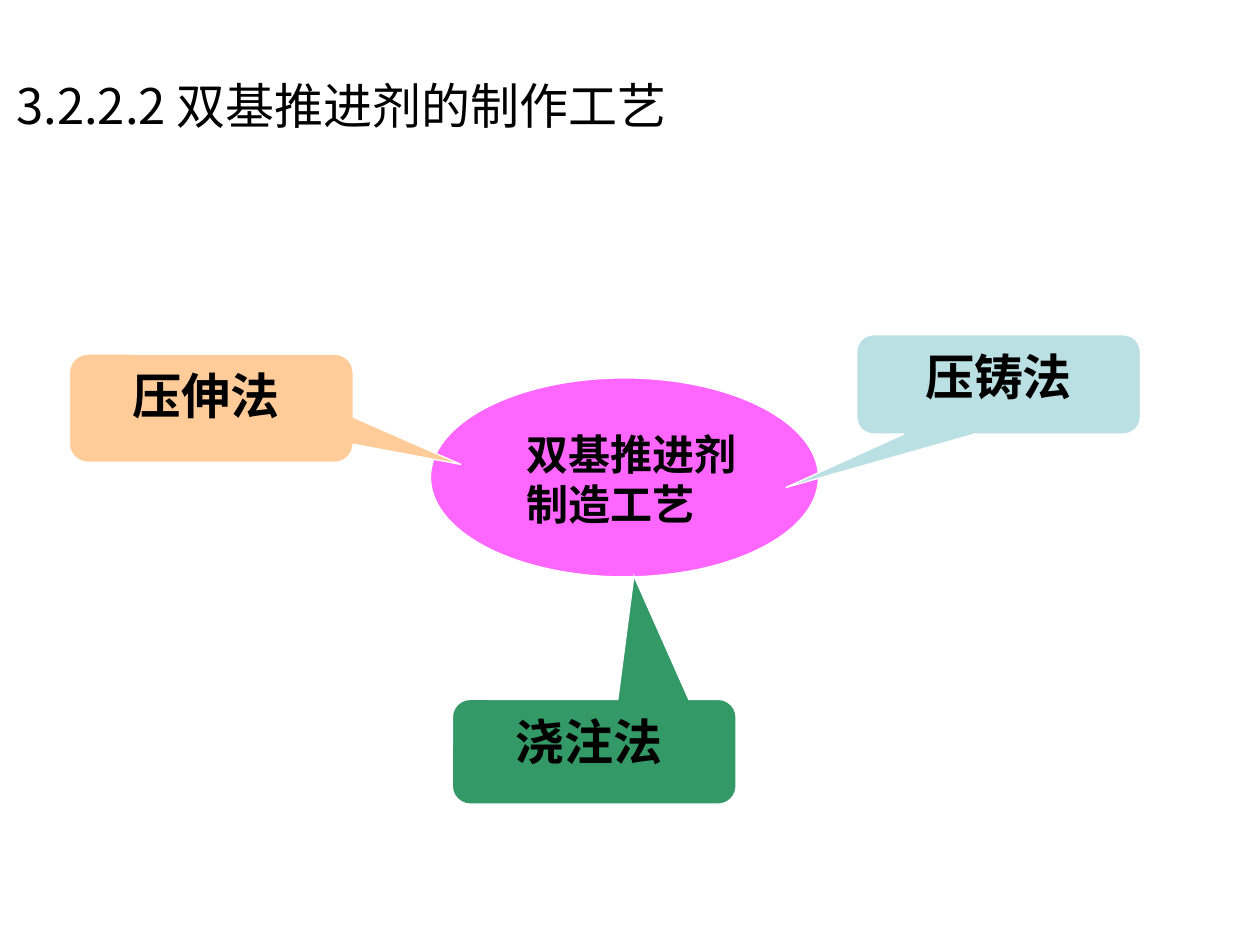
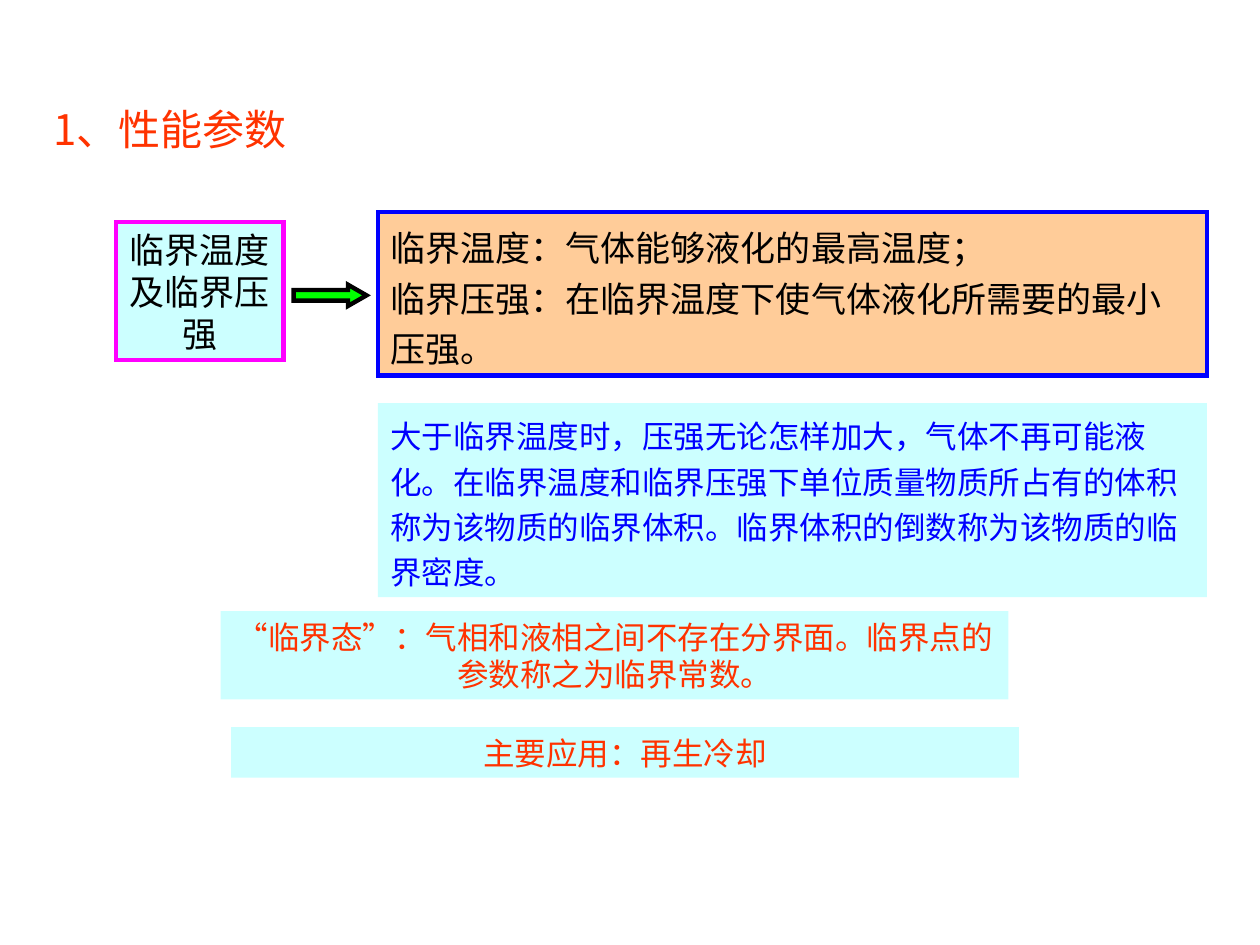
from lxml.etree import SubElement
from pptx import Presentation
from pptx.dml.color import RGBColor
from pptx.enum.shapes import MSO_SHAPE
from pptx.enum.text import MSO_ANCHOR, MSO_AUTO_SIZE, PP_ALIGN
from pptx.oxml.ns import qn
from pptx.util import Cm, Pt

FONT = "Noto Sans CJK SC"
SINGLE, WIDE, TITLE_WIDE = 1.0, 1.2, 1.3

BLACK = RGBColor(0x00, 0x00, 0x00)
WHITE = RGBColor(0xFF, 0xFF, 0xFF)
RED = RGBColor(0xFF, 0x33, 0x00)
BLUE = RGBColor(0x00, 0x00, 0xFF)
GREEN = RGBColor(0x00, 0xFF, 0x00)
MAGENTA = RGBColor(0xFF, 0x00, 0xFF)
PINK = RGBColor(0xFF, 0x66, 0xFF)
PEACH = RGBColor(0xFF, 0xCC, 0x99)
PALE_CYAN = RGBColor(0xCC, 0xFF, 0xFF)
PALE_TEAL = RGBColor(0xBB, 0xE0, 0xE3)
SEA_GREEN = RGBColor(0x33, 0x99, 0x66)


def write(shape, text, size, color=BLACK, bold=False, align=PP_ALIGN.LEFT, spacing=SINGLE):
    """Fill a shape with top-anchored text in the shared font."""
    frame = shape.text_frame
    frame.text = text
    frame.word_wrap = True
    frame.auto_size = MSO_AUTO_SIZE.NONE
    frame.vertical_anchor = MSO_ANCHOR.TOP
    frame.margin_left = frame.margin_right = Cm(0.25)
    frame.margin_top = frame.margin_bottom = Cm(0.13)
    for paragraph in frame.paragraphs:
        paragraph.alignment = align
        paragraph.line_spacing = spacing
        paragraph.space_before = Pt(0)
        paragraph._p.get_or_add_pPr().set("hangingPunct", "0")
        for run in paragraph.runs:
            run.font.size = Pt(size)
            run.font.bold = bold
            run.font.color.rgb = color
            run.font.name = FONT
            SubElement(run.font._element, qn("a:ea"), typeface=FONT)


def add_titled_slide(deck, text, box, size, color=BLACK, spacing=SINGLE):
    """Add a title-only slide and place its title."""
    slide = deck.slides.add_slide(deck.slide_layouts[5])
    title = slide.shapes.title
    title.left, title.top, title.width, title.height = map(Cm, box)
    write(title, text, size, color, spacing=spacing)
    return slide


def add_figure(slide, preset, box, fill, line=None, line_width=0.75, adjustments=()):
    """Add a flat preset shape with an optional sharp-cornered outline."""
    figure = slide.shapes.add_shape(preset, *map(Cm, box))
    figure.shadow.inherit = False
    figure.fill.solid()
    figure.fill.fore_color.rgb = fill
    if line is None:
        figure.line.fill.background()
    else:
        figure.line.color.rgb = line
        figure.line.width = Pt(line_width)
        SubElement(figure._element.spPr.find(qn("a:ln")), qn("a:miter"), lim="800000")
    for index, value in enumerate(adjustments):
        figure.adjustments[index] = value
    return figure


def add_method(slide, name, left, top, height, fill, tip):
    """Add a callout naming one process, its tip pointing at the centre."""
    callout = add_figure(slide, MSO_SHAPE.ROUNDED_RECTANGULAR_CALLOUT,
                         (left, top, 5.72, height), fill, WHITE, adjustments=(*tip, 0.17))
    write(callout, name, 28, bold=True, align=PP_ALIGN.CENTER)


def add_panel(slide, text, box, size, color, fill=PALE_CYAN, line=None,
              align=PP_ALIGN.CENTER, spacing=SINGLE):
    """Add a rectangular text panel."""
    panel = add_figure(slide, MSO_SHAPE.RECTANGLE, box, fill, line, 2.5)
    write(panel, text, size, color, align=align, spacing=spacing)


def build_process_slide(deck):
    """Show the three manufacturing methods around their subject."""
    slide = add_titled_slide(deck, "3.2.2.2 双基推进剂的制作工艺", (0.08, 1.4, 15.34, 1.45), 28)
    add_figure(slide, MSO_SHAPE.OVAL, (8.68, 7.62, 7.82, 4.01), PINK, WHITE)
    subject = slide.shapes.add_textbox(*map(Cm, (10.36, 8.51, 4.88, 2.29)))
    write(subject, "双基推进剂制造工艺", 24, bold=True)
    add_method(slide, "压铸法", 17.27, 6.75, 2.0, PALE_TEAL, (-0.75, 1.04))
    add_method(slide, "压伸法 ", 1.4, 7.14, 2.18, PEACH, (0.88, 0.52))
    add_method(slide, "浇注法 ", 9.12, 14.1, 2.11, SEA_GREEN, (0.14, -1.68))


def build_parameter_slide(deck):
    """Define the critical temperature and pressure."""
    slide = add_titled_slide(deck, "1、性能参数", (0.82, 1.65, 20.96, 1.57), 24, RED, TITLE_WIDE)
    add_panel(slide, "临界温度及临界压强", (2.34, 4.47, 3.38, 2.79), 20, BLACK, line=MAGENTA)
    add_figure(slide, MSO_SHAPE.RIGHT_ARROW, (5.92, 5.74, 1.47, 0.43),
               GREEN, BLACK, 2.5, (0.5, 0.87))
    add_panel(slide,
              "临界温度：气体能够液化的最高温度；\n"
              "临界压强：在临界温度下使气体液化所需要的最小压强。",
              (7.62, 4.27, 16.71, 3.3), 20, BLACK, PEACH, BLUE, PP_ALIGN.LEFT, WIDE)
    add_panel(slide,
              "大于临界温度时，压强无论怎样加大，气体不再可能液化。"
              "在临界温度和临界压强下单位质量物质所占有的体积称为该物质的临界体积。"
              "临界体积的倒数称为该物质的临界密度。",
              (7.62, 8.13, 16.71, 3.91), 18, BLUE, align=PP_ALIGN.LEFT, spacing=WIDE)
    add_panel(slide, "“临界态”：气相和液相之间不存在分界面。临界点的参数称之为临界常数。",
              (4.45, 12.32, 15.88, 1.78), 18, RED)
    add_panel(slide, "主要应用：再生冷却", (4.66, 14.66, 15.88, 1.02), 18, RED)


def main():
    """Build and save the deck."""
    deck = Presentation()
    deck.slide_width, deck.slide_height = Cm(25.4), Cm(19.05)
    build_process_slide(deck)
    build_parameter_slide(deck)
    deck.save("out.pptx")


if __name__ == "__main__":
    main()
